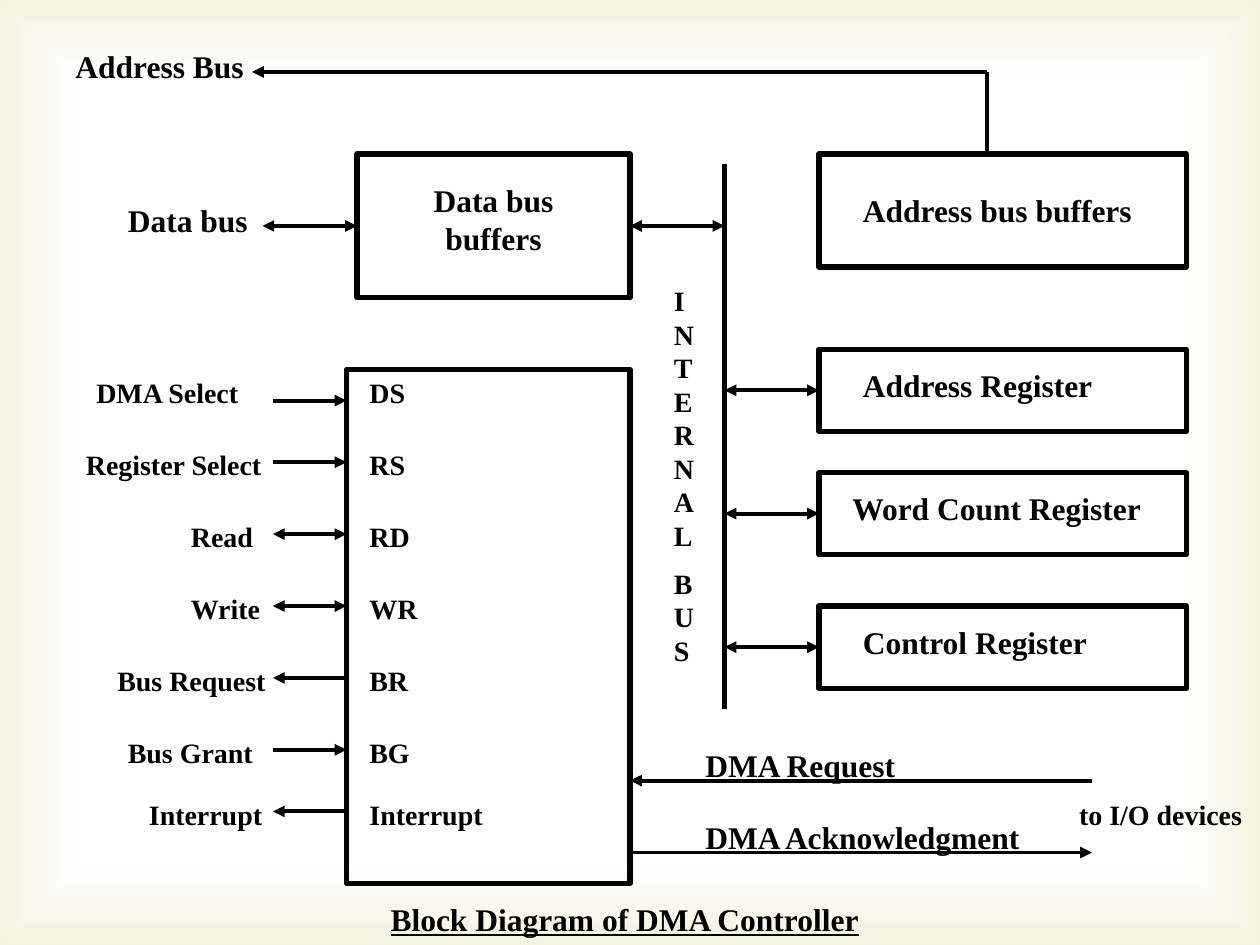
from dataclasses import dataclass
from lxml.etree import SubElement
from pptx import Presentation
from pptx.dml.color import RGBColor
from pptx.enum.shapes import MSO_CONNECTOR as Conn, MSO_SHAPE as Form
from pptx.enum.text import MSO_ANCHOR as Anchor, MSO_AUTO_SIZE as Fit, PP_ALIGN as Align
from pptx.oxml import parse_xml
from pptx.oxml.ns import nsdecls, qn
from pptx.util import Inches, Pt

BLACK = RGBColor(0, 0, 0)
WHITE = RGBColor(0xFF, 0xFF, 0xFF)
CREAM = RGBColor(0xF4, 0xF3, 0xDF)
FONT = "Times New Roman"
COLS, ROWS = 120, 92  # grid over the slide


@dataclass
class Box:
    col: float
    row: float
    wide: float
    high: float


@dataclass
class Line:
    col: float
    row: float
    to_col: float
    to_row: float
    head: bool = False
    tail: bool = False
    width: float = 2.25


@dataclass
class Label:
    text: str
    col: float
    row: float
    wide: float
    size: int = 18
    high: float = 4.7
    align: Align = Align.LEFT


@dataclass
class Signal:
    name: str
    pin: str
    col: float
    wide: float
    row: float
    head: bool
    tail: bool
    drop: float = 2  # arrow below the label's top


@dataclass
class Store:
    name: str
    row: float
    col: float = 81
    wide: float = 30


deck = Presentation()
deck.slide_width, deck.slide_height = Inches(10), Inches(7.5)
slide = deck.slides.add_slide(deck.slide_layouts[5])
shapes = slide.shapes


def at_x(col: float) -> int:
    return round(deck.slide_width * col / COLS)


def at_y(row: float) -> int:
    return round(deck.slide_height * row / ROWS)


def place(box: Box) -> tuple:
    return at_x(box.col), at_y(box.row), at_x(box.wide), at_y(box.high)


def draw_box(box: Box):
    shape = shapes.add_shape(Form.RECTANGLE, *place(box))
    shape.shadow.inherit = False
    shape.fill.background()
    shape.line.color.rgb = BLACK
    shape.line.width = Pt(3)
    return shape


def draw_line(line: Line) -> None:
    wire = shapes.add_connector(Conn.STRAIGHT, at_x(line.col), at_y(line.row),
                                at_x(line.to_col), at_y(line.to_row))
    wire.line.color.rgb = BLACK
    wire.line.width = Pt(line.width)
    for tag, on in (("a:headEnd", line.head), ("a:tailEnd", line.tail)):
        if on:
            SubElement(wire.line._ln, qn(tag), type="triangle")
    SubElement(wire._element.spPr, qn("a:effectLst"))


def set_text(shape, label: Label, under: bool = False) -> None:
    frame = shape.text_frame
    frame.word_wrap = True
    frame.auto_size = Fit.NONE
    frame.vertical_anchor = Anchor.TOP
    frame.text = label.text
    for i, para in enumerate(frame.paragraphs):
        para.alignment = label.align
        para.space_before = Pt(8 if i else 0)
        for run in para.runs:
            font = run.font
            font.name, font.size, font.bold = FONT, Pt(label.size), True
            font.underline = under
            font.color.rgb = BLACK


def draw_label(label: Label) -> None:
    box = Box(label.col, label.row, label.wide, label.high)
    set_text(shapes.add_textbox(*place(box)), label)


# Cream frame fading to white
frame = draw_box(Box(0, 0, COLS, ROWS))
frame.line.fill.background()
props = frame._element.spPr
props.replace(props.find(qn("a:noFill")), parse_xml(
    f'<a:gradFill {nsdecls("a")} rotWithShape="1"><a:gsLst>'
    f'<a:gs pos="0"><a:srgbClr val="{WHITE}"/></a:gs>'
    f'<a:gs pos="83000"><a:srgbClr val="{WHITE}"/></a:gs>'
    f'<a:gs pos="100000"><a:srgbClr val="{CREAM}"/></a:gs></a:gsLst>'
    '<a:path path="rect"><a:fillToRect l="50000" t="50000" r="50000" b="50000"/>'
    '</a:path></a:gradFill>'))

# Title under the diagram
title = shapes.title
shapes._spTree.append(title._element)
head = Label("Block Diagram of DMA Controller", 26, 87, 67, align=Align.CENTER)
title.left, title.top, title.width, title.height = place(
    Box(head.col, head.row, head.wide, head.high))
set_text(title, head, under=True)

# Buffers and control block
for box in (Box(78, 15, 35, 11), Box(34, 15, 26, 14), Box(33, 36, 27, 50)):
    draw_box(box)

# Registers on the internal bus
for store in (Store("Address Register", 34),
              Store("Word Count Register", 46, 80, 37),
              Store("Control Register", 59)):
    draw_box(Box(78, store.row, 35, 8))
    draw_line(Line(69, store.row + 4, 78, store.row + 4, True, True))
    draw_label(Label(store.name, store.col, store.row + 1, store.wide))

# Control signals and their pins
for sig in (Signal("DMA Select", "DS", 8, 19, 36, False, True, 3),
            Signal("Register Select", "RS", 7, 22, 43, False, True),
            Signal("Read", "RD", 17, 9, 50, True, True),
            Signal("Write", "WR", 17, 10, 57, True, True),
            Signal("Bus Request", "BR", 10, 18, 64, True, False),
            Signal("Bus Grant", "BG", 11, 15, 71, False, True),
            Signal("Interrupt", "Interrupt", 13, 16, 77, True, False)):
    y = sig.row + sig.drop
    draw_line(Line(26, y, 33, y, sig.head, sig.tail))
    draw_label(Label(sig.name, sig.col, sig.row, sig.wide, 16))
    draw_label(Label(sig.pin, 34, sig.row, 15, 16))

# Buses and request lines
for line in (Line(60, 22, 69, 22, True, True),
             Line(25, 22, 34, 22, True, True),
             Line(69, 16, 69, 69, width=3),
             Line(60, 76, 104, 76, head=True),
             Line(60, 83, 104, 83, tail=True),
             Line(94, 15, 94, 7),
             Line(94, 7, 24, 7, tail=True)):
    draw_line(line)

# Remaining labels
for label in (Label("Address bus buffers", 81, 18, 30),
              Label("INTERNAL\nBUS", 63, 27, 5, 16, 38),
              Label("DMA Request", 66, 72, 30),
              Label("DMA Acknowledgment", 66, 79, 33),
              Label("to I/O devices", 101.6, 77, 18.4, 16),
              Label("Data bus", 11, 19, 16),
              Label("Address Bus", 6, 4, 20),
              Label("Data bus buffers", 36, 17, 22, high=8.5, align=Align.CENTER)):
    draw_label(label)

deck.save("out.pptx")
